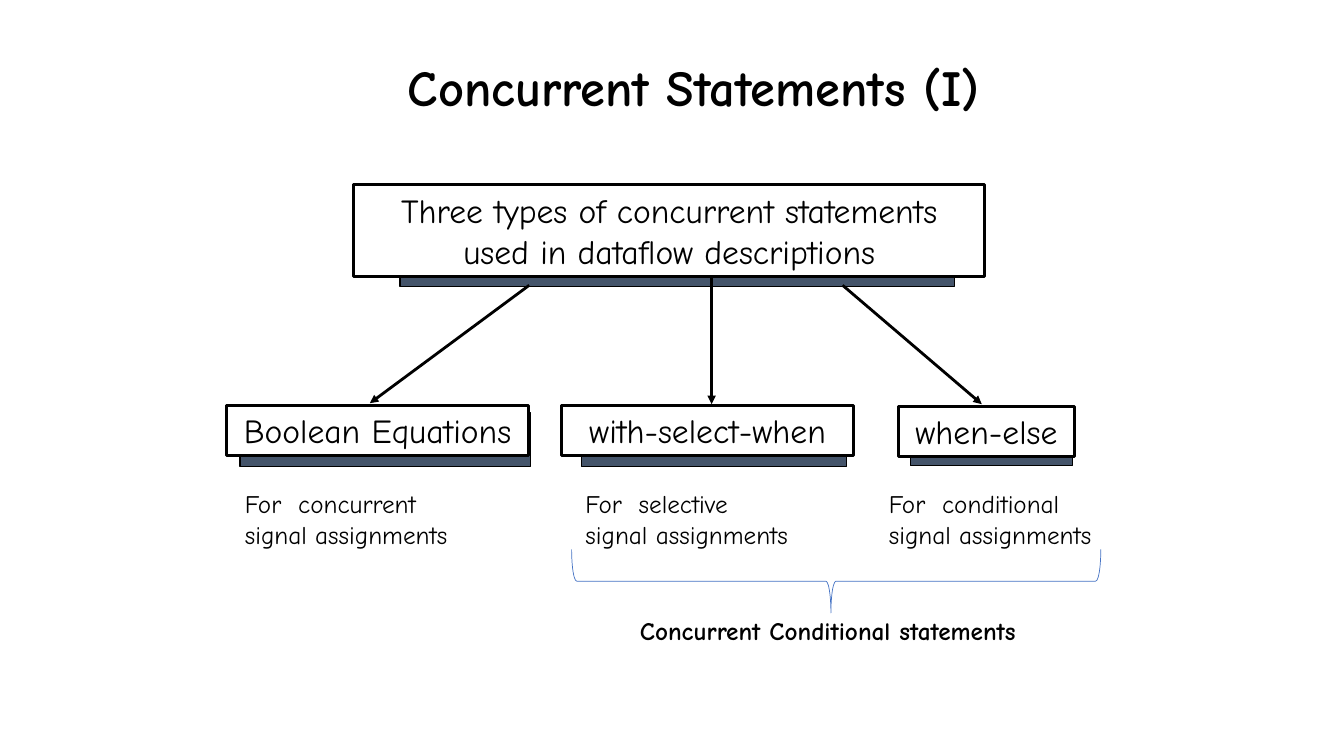
"""Build the slide on the three types of concurrent statements."""
from pptx import Presentation
from pptx.dml.color import RGBColor
from pptx.enum.shapes import MSO_CONNECTOR, MSO_SHAPE
from pptx.enum.text import MSO_ANCHOR, MSO_AUTO_SIZE, PP_ALIGN
from pptx.oxml.ns import qn
from pptx.util import Pt
from lxml.etree import SubElement

FONT = "Comic Neue"
BLACK, WHITE, SLATE, BLUE = "000000", "FFFFFF", "44546A", "4472C4"

TITLE = ("Concurrent Statements (I)", (253.4, 36.7, 484.6, 50.4))
SUMMARY = ("Concurrent Conditional statements ", (450, 436.3, 323.3, 28.8))
BRACE = (574.6, 226.1, 45.4, 378)

CARDS = [
    ("Three types of concurrent statements\nused in dataflow descriptions",
     (252.7, 131.8, 450.7, 65.5), (285.8, 139.7, 396, 64.8)),
    ("Boolean Equations", (162, 289.4, 215.3, 36), (171.4, 294.5, 207.4, 38.9)),
    ("when-else", (641.5, 290.2, 126, 36), (650.2, 293.8, 115.9, 38.9)),
    ("with-select-when", (401, 289.4, 208.8, 36), (415.4, 294.5, 189.4, 38.9)),
]
ARROWS = [
    ((378, 203.8), (264.2, 288)),
    ((508.3, 198), (508.3, 288.7)),
    ((601.9, 203.8), (701.3, 288.7)),
]
NOTE_TOP, NOTE_WIDTH, NOTE_HEIGHT = 345.6, 169.2, 50.4
NOTES = [("concurrent", 167.8), ("selective", 411.1), ("conditional", 627.8)]


def color(value):
    return RGBColor.from_string(value)


def points(values):
    return [Pt(value) for value in values]


def write(box, text, size=18, bold=False, align=PP_ALIGN.LEFT,
          anchor=MSO_ANCHOR.TOP):
    frame = box.text_frame
    frame.word_wrap = False
    frame.auto_size = MSO_AUTO_SIZE.SHAPE_TO_FIT_TEXT
    frame.vertical_anchor = anchor
    for index, line in enumerate(text.split("\n")):
        para = frame.add_paragraph() if index else frame.paragraphs[0]
        para.alignment = align
        span = para.add_run()
        span.text = line
        span.font.name = FONT
        span.font.size = Pt(size)
        span.font.bold = bold
        span.font.color.rgb = color(BLACK)


def add_label(page, text, place, **style):
    write(page.shapes.add_textbox(*points(place)), text, **style)


def add_outline(page, kind, place, fill=None, line=BLACK, weight=1.0):
    shape = page.shapes.add_shape(kind, *points(place))
    shape.shadow.inherit = False
    if fill:
        shape.fill.solid()
        shape.fill.fore_color.rgb = color(fill)
    else:
        shape.fill.background()
    shape.line.color.rgb = color(line)
    shape.line.width = Pt(weight)
    return shape


def add_arrow(page, start, end):
    arrow = page.shapes.add_connector(
        MSO_CONNECTOR.STRAIGHT, *points(start + end))
    arrow.line.color.rgb = color(BLACK)
    arrow.line.width = Pt(2)
    SubElement(arrow.line._get_or_add_ln(), qn("a:tailEnd"), type="triangle")
    SubElement(arrow._element.spPr, qn("a:effectLst"))


deck = Presentation()
deck.slide_width, deck.slide_height = Pt(960), Pt(540)
page = deck.slides.add_slide(deck.slide_layouts[6])

add_label(page, *TITLE, size=36, bold=True, align=PP_ALIGN.CENTER)

for text, front, back in CARDS:
    add_outline(page, MSO_SHAPE.RECTANGLE, back, fill=SLATE)
    card = add_outline(page, MSO_SHAPE.RECTANGLE, front, fill=WHITE, weight=2)
    write(card, text, size=24, align=PP_ALIGN.CENTER, anchor=MSO_ANCHOR.MIDDLE)

for start, end in ARROWS:
    add_arrow(page, start, end)

for kind, left in NOTES:
    add_label(page, f"For  {kind}\nsignal assignments",
              (left, NOTE_TOP, NOTE_WIDTH, NOTE_HEIGHT))

brace = add_outline(page, MSO_SHAPE.LEFT_BRACE, BRACE, line=BLUE, weight=0.5)
brace.rotation = 270
brace.adjustments[0], brace.adjustments[1] = 0.08, 0.49
add_label(page, *SUMMARY, bold=True)

deck.save("out.pptx")
